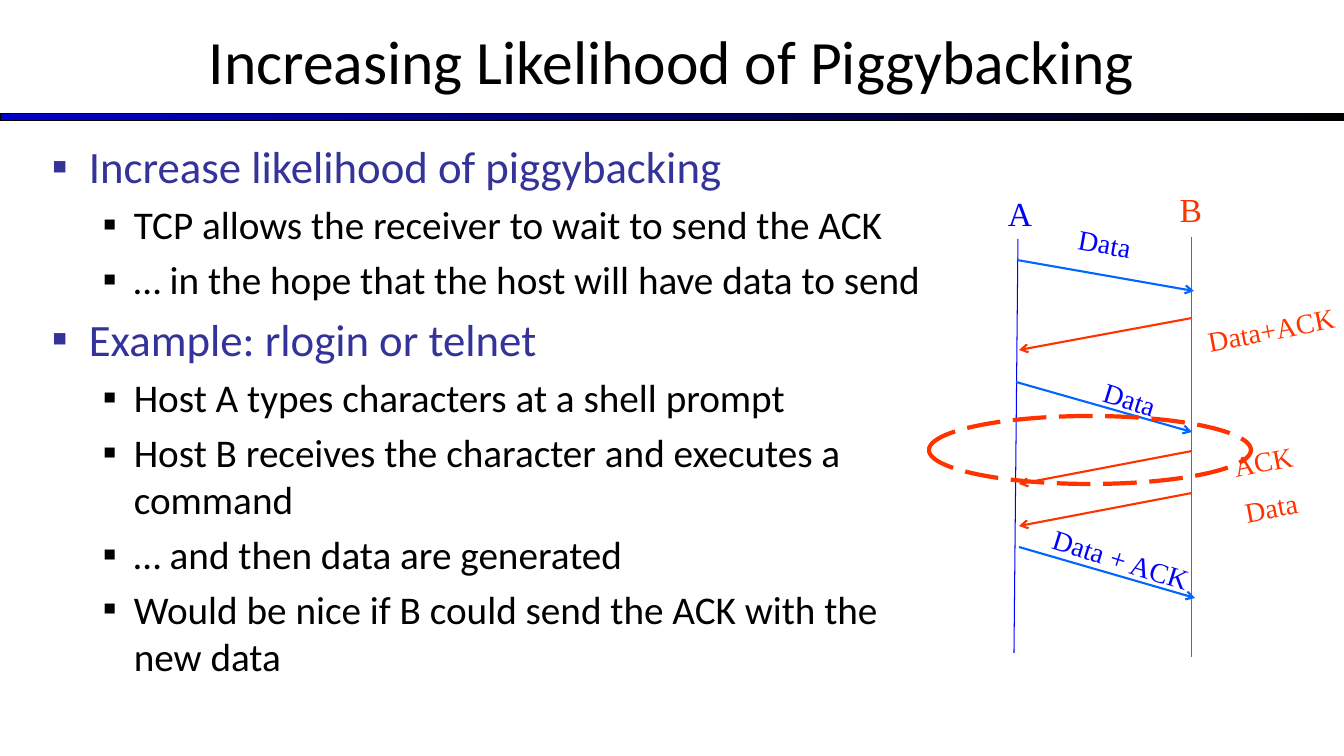
import dataclasses

import pptx
import pptx.dml.color
import pptx.enum.dml
import pptx.enum.shapes
import pptx.enum.text
import pptx.oxml.xmlchemy
import pptx.util
from lxml import etree

EMU_PER_PX = 914400 / 100.8
DRAWING_NS = "http://schemas.openxmlformats.org/drawingml/2006/main"


@dataclasses.dataclass(frozen=True)
class Theme:
    black: str = "000000"
    rule_blue: str = "0000CC"
    heading: str = "333399"
    host_a: str = "0000FF"
    arrow_a: str = "0066FF"
    host_b: str = "FF3300"
    body_font: str = "Calibri"
    diagram_font: str = "Times New Roman"
    title_size: int = 44
    heading_size: int = 32
    point_size: int = 28
    host_size: int = 24
    message_size: int = 20


THEME = Theme()

# Body text: (level, wording)
OUTLINE = [
    (0, "Increase likelihood of piggybacking"),
    (1, "TCP allows the receiver to wait to send the ACK"),
    (1, "… in the hope that the host will have data to send"),
    (0, "Example: rlogin or telnet"),
    (1, "Host A types characters at a shell prompt"),
    (1, "Host B receives the character and executes a command"),
    (1, "… and then data are generated"),
    (1, "Would be nice if B could send the ACK with the new data"),
]

# Messages: start, end, label, label centre, label rotation
MESSAGES_FROM_A = [
    ((1017, 260), (1194, 291), "Data", (1105, 243), 10.1),
    ((1016, 382), (1192, 432), "Data", (1130, 399), 17.4),
    ((1019, 547), (1195, 598), "Data + ACK", (1121, 559), 17.4),
]
MESSAGES_FROM_B = [
    ((1192, 318), (1019, 350), "Data+ACK", (1271, 329), -10.9),
    ((1192, 451), (1019, 484), "ACK", (1263, 461), -10.9),
    ((1192, 493), (1019, 526), "Data", (1271, 507), -10.9),
]


def px(length):
    return pptx.util.Emu(round(length * EMU_PER_PX))


def rgb(code):
    return pptx.dml.color.RGBColor.from_string(code)


def add_child(parent, tag, **attributes):
    return etree.SubElement(parent, f"{{{DRAWING_NS}}}{tag}", attributes)


def set_font(paragraph, family, size, color):
    paragraph.font.name = family
    paragraph.font.size = pptx.util.Pt(size)
    paragraph.font.color.rgb = rgb(color)


def add_text(slide, box, text, family, size, color, rotation=0, wrap=False):
    label = slide.shapes.add_textbox(*map(px, box))
    label.rotation = rotation
    frame = label.text_frame
    frame.word_wrap = wrap
    frame.vertical_anchor = pptx.enum.text.MSO_ANCHOR.MIDDLE
    paragraph = frame.paragraphs[0]
    paragraph.text = text
    paragraph.alignment = pptx.enum.text.PP_ALIGN.CENTER
    set_font(paragraph, family, size, color)


def add_label(slide, centre, text, size, color, rotation=0):
    width, height = 162, 44
    box = (centre[0] - width // 2, centre[1] - height // 2, width, height)
    add_text(slide, box, text, THEME.diagram_font, size, color, rotation)


def add_line(slide, start, end, color, weight, arrow=False):
    line = slide.shapes.add_connector(
        pptx.enum.shapes.MSO_CONNECTOR.STRAIGHT, *map(px, (*start, *end)))
    line.line.color.rgb = rgb(color)
    line.line.width = pptx.util.Pt(weight)
    if arrow:
        add_child(line.line._get_or_add_ln(), "tailEnd", type="arrow")
    add_child(line._element.spPr, "effectLst")


def add_outline(slide, box, items):
    frame = slide.shapes.add_textbox(*map(px, box)).text_frame
    frame.word_wrap = True
    # Per level: colour, size, left margin, hanging indent
    levels = [
        (THEME.heading, THEME.heading_size, 37, -37),
        (THEME.black, THEME.point_size, 82, -31),
    ]
    for index, (level, text) in enumerate(items):
        color, size, margin, indent = levels[level]
        paragraph = frame.add_paragraph() if index else frame.paragraphs[0]
        paragraph.text = text
        paragraph.level = level
        if index:
            paragraph.space_before = pptx.util.Pt(size * 0.2)
        properties = paragraph._p.get_or_add_pPr()
        properties.set("marL", str(px(margin)))
        properties.set("indent", str(px(indent)))
        bullet_color = add_child(properties, "buClr")
        add_child(bullet_color, "srgbClr", val=color)
        add_child(properties, "buFont", typeface=THEME.body_font)
        add_child(properties, "buChar", char="▪")
        set_font(paragraph, THEME.body_font, size, color)


def add_title_rule(slide):
    rule = slide.shapes.add_shape(
        pptx.enum.shapes.MSO_SHAPE.RECTANGLE, *map(px, (0, 114, 1344, 7)))
    rule.shadow.inherit = False
    rule.fill.gradient()
    rule.fill.gradient_angle = 0
    for stop, color in zip(rule.fill.gradient_stops, (THEME.rule_blue, THEME.black)):
        stop.color.rgb = rgb(color)
    rule.line.color.rgb = rgb(THEME.black)
    rule.line.width = pptx.util.Pt(0.75)


def add_highlight(slide, box):
    highlight = slide.shapes.add_shape(
        pptx.enum.shapes.MSO_SHAPE.OVAL, *map(px, box))
    highlight.shadow.inherit = False
    highlight.fill.background()
    highlight.line.color.rgb = rgb(THEME.host_b)
    highlight.line.width = pptx.util.Pt(3)
    highlight.line.dash_style = pptx.enum.dml.MSO_LINE.LONG_DASH


def add_messages(slide, messages, arrow_color, label_color):
    for start, end, text, centre, rotation in messages:
        add_line(slide, start, end, arrow_color, 1.5, arrow=True)
        add_label(slide, centre, text, THEME.message_size, label_color, rotation)


def main():
    deck = pptx.Presentation()
    deck.slide_width, deck.slide_height = px(1344), px(756)
    slide = deck.slides.add_slide(deck.slide_layouts[6])

    # Title and body
    add_title_rule(slide)
    add_text(slide, (0, -3, 1344, 126), "Increasing Likelihood of Piggybacking",
             THEME.body_font, THEME.title_size, THEME.black, wrap=True)
    add_outline(slide, (42, 134, 901, 588), OUTLINE)

    # Host timelines
    add_line(slide, (1018, 239), (1014, 653), THEME.host_a, 0.75)
    add_line(slide, (1192, 237), (1192, 657), THEME.host_b, 0.75)
    add_label(slide, (1020, 213), "A", THEME.host_size, THEME.host_a)
    add_label(slide, (1191, 209), "B", THEME.host_size, THEME.host_b)

    # Messages between the hosts
    add_messages(slide, MESSAGES_FROM_A, THEME.arrow_a, THEME.host_a)
    add_messages(slide, MESSAGES_FROM_B, THEME.host_b, THEME.host_b)

    # Ring around the lone ACK
    add_highlight(slide, (929, 416, 322, 68))

    deck.save("out.pptx")


if __name__ == "__main__":
    main()
